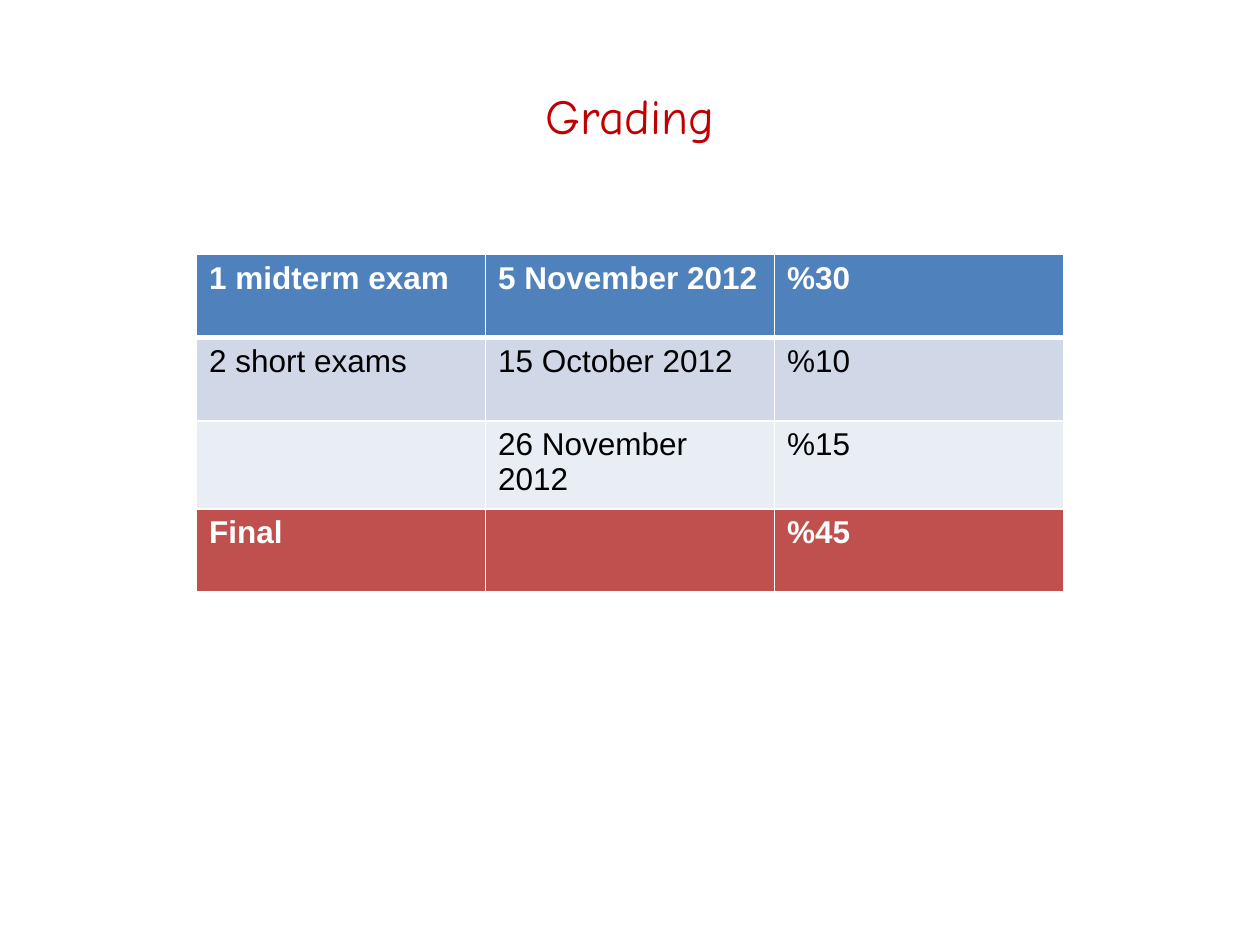
from pptx import Presentation
from pptx.dml.color import RGBColor
from pptx.enum.text import MSO_ANCHOR, PP_ALIGN
from pptx.oxml.ns import qn
from pptx.util import Inches, Pt
from lxml import etree

MIDDLE = MSO_ANCHOR.MIDDLE
CENTER = PP_ALIGN.CENTER

COLORS = {
    "title": "C00000",
    "white": "FFFFFF",
    "black": "000000",
    "head": "4F81BD",
    "odd": "D0D8E8",
    "even": "E9EDF4",
    "final": "C0504D",
}
TITLE = {"name": "Comic Neue", "size": Pt(28), "bold": False}
STRONG = {"name": "Arial", "size": Pt(18), "bold": True}
PLAIN = {**STRONG, "bold": False}

# Fill, text colour, text format, bottom line width in points, cell texts
GRADES = [
    ("head", "white", STRONG, 3, ("1 midterm exam", "5 November 2012", "%30")),
    ("odd", "black", PLAIN, 1, ("2 short exams", "15 October 2012", "%10")),
    ("even", "black", PLAIN, 1, ("", "26 November 2012", "%15")),
    ("final", "white", STRONG, 1, ("Final", "", "%45")),
]


def rgb(key):
    return RGBColor.from_string(COLORS[key])


def write(frame, text, color, style):
    """Put text into the first paragraph and return that paragraph."""
    para = frame.paragraphs[0]
    if text:
        run = para.add_run()
        run.text = text
        font = run.font
    else:
        font = para.font
    for key, value in style.items():
        setattr(font, key, value)
    font.color.rgb = rgb(color)
    return para


def add_title(slide, left, top, width, height):
    frame = slide.shapes.add_textbox(left, top, width, height).text_frame
    frame.word_wrap = True
    frame.vertical_anchor = MIDDLE
    write(frame, "Grading", "title", TITLE).alignment = CENTER


def set_lines(cell, widths):
    """Draw white cell borders; widths maps a side to points."""
    props = cell._tc.get_or_add_tcPr()
    for side, width in widths.items():
        line = etree.SubElement(props, qn(f"a:ln{side}"), w=str(Pt(width)))
        fill = etree.SubElement(line, qn("a:solidFill"))
        etree.SubElement(fill, qn("a:srgbClr"), val=COLORS["white"])


def add_grades(slide, left, top, width, height):
    count = len(GRADES)
    cols = len(GRADES[0][-1])
    table = slide.shapes.add_table(
        count, cols, left, top, width, height).table
    above = 1
    for row, (fill, color, style, below, texts) in enumerate(GRADES):
        for col, text in enumerate(texts):
            cell = table.cell(row, col)
            set_lines(cell, {"L": 1, "R": 1, "T": above, "B": below})
            cell.fill.solid()
            cell.fill.fore_color.rgb = rgb(fill)
            write(cell.text_frame, text, color, style)
        above = below


def main():
    deck = Presentation()
    deck.slide_width = Inches(10)
    deck.slide_height = Inches(7.5)
    slide = deck.slides.add_slide(deck.slide_layouts[6])
    add_title(slide, Inches(0.5), Inches(0.29), Inches(9), Inches(1.25))
    add_grades(slide, Inches(1.56), Inches(2.02), Inches(6.88), Inches(2.64))
    deck.save("out.pptx")


if __name__ == "__main__":
    main()
